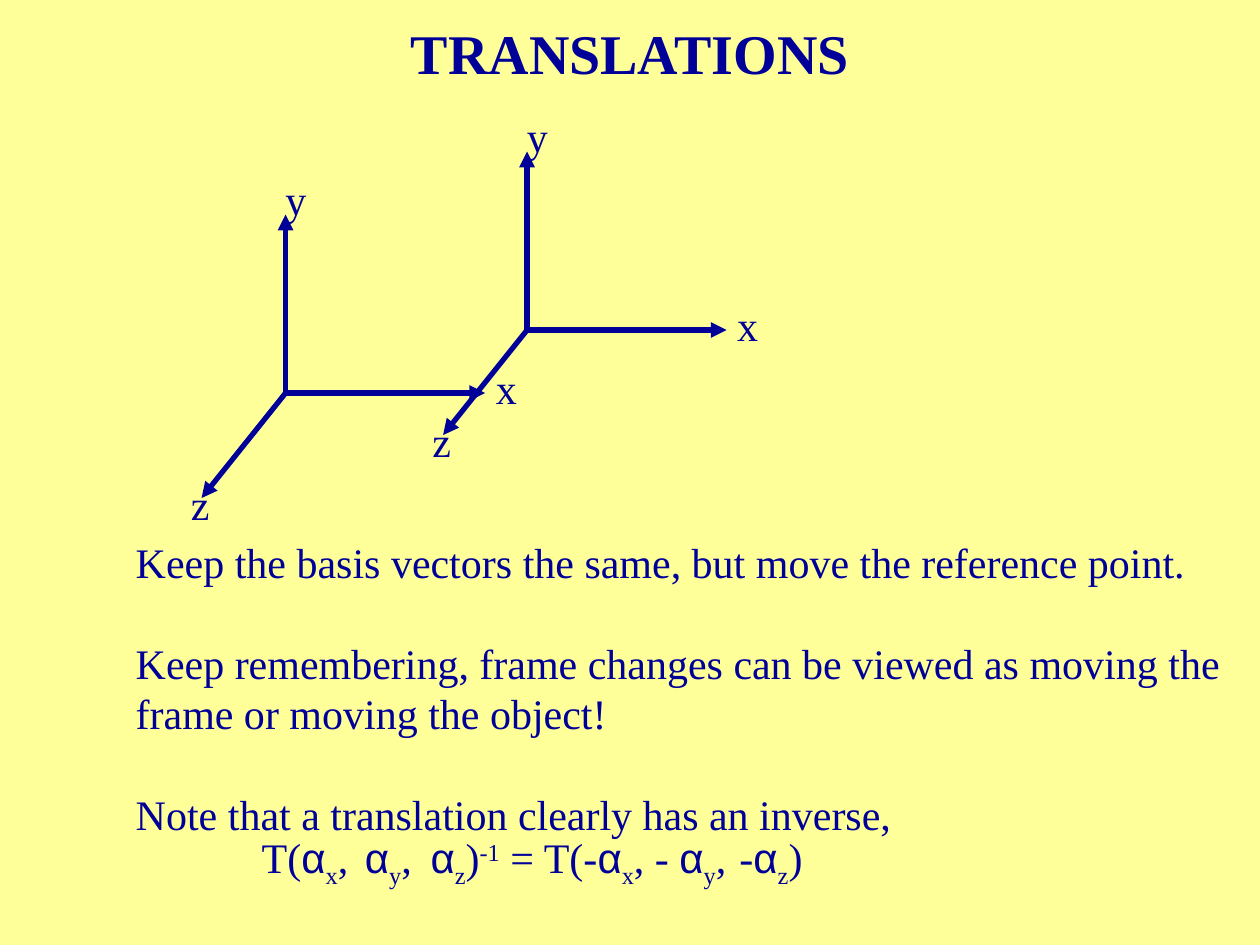
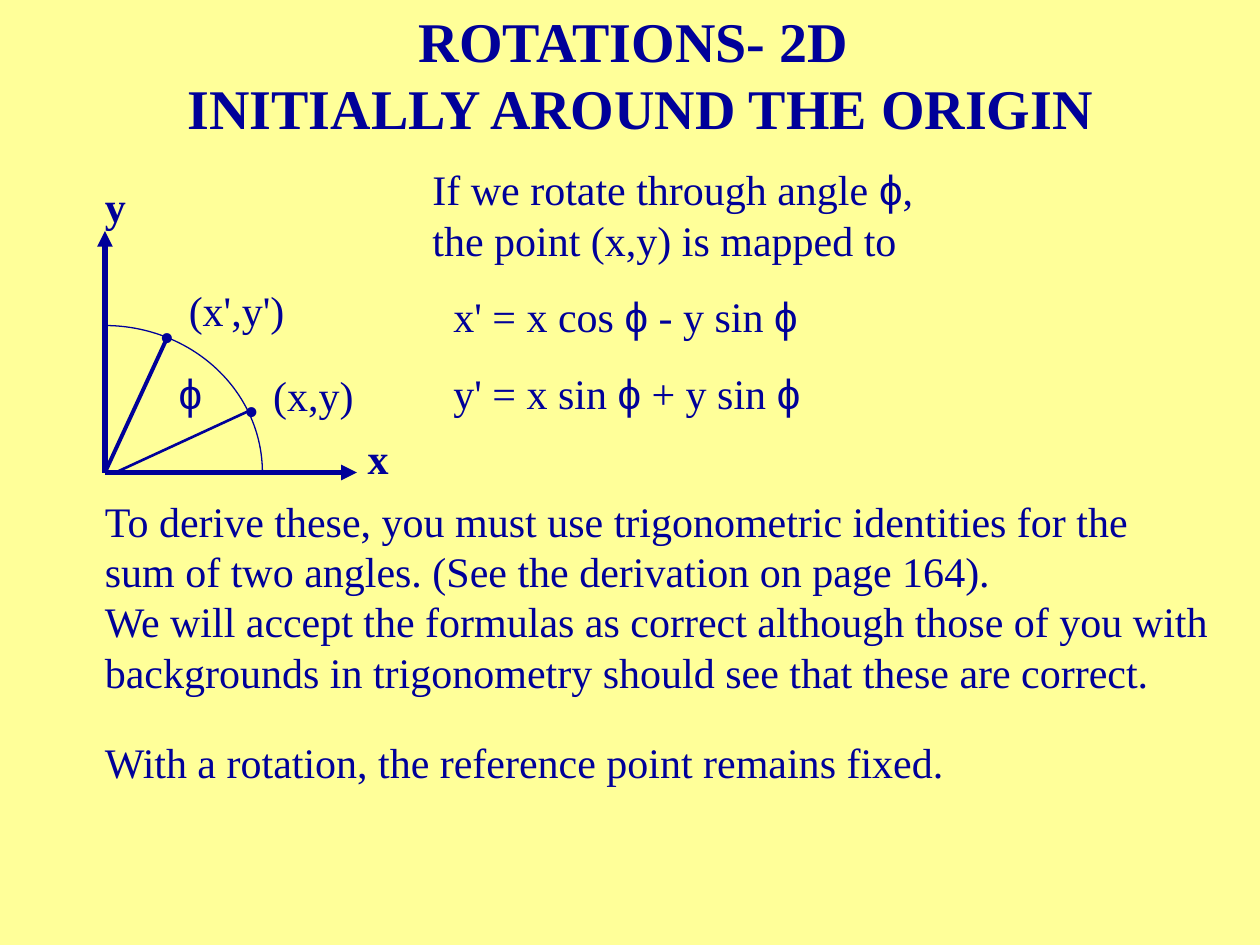
from lxml.etree import SubElement
from pptx import Presentation
from pptx.dml.color import RGBColor
from pptx.enum.shapes import MSO_CONNECTOR, MSO_SHAPE
from pptx.enum.text import MSO_ANCHOR, PP_ALIGN
from pptx.oxml.ns import qn
from pptx.util import Pt

hue = RGBColor.from_string
INK = "000099"
PAPER = "FFFF99"
SERIF = "Times New Roman"
SANS = "Arial"
GREEK = ("α", "ϕ")
BASE = {"_": "-25000", "^": "30000"}
LEAD = 1.2  # line height per point of type


def write(slide, box, paras, size=24, bold=False, gaps=(), tabs=(), wrap=False, title=False):
    """Add a text box; a run starting with _ is lowered, with ^ raised."""
    frame = slide.shapes.add_textbox(*map(Pt, box)).text_frame
    frame.word_wrap = wrap
    if title:
        frame.vertical_anchor = MSO_ANCHOR.MIDDLE
    for row, runs in enumerate(paras):
        para = frame.add_paragraph() if row else frame.paragraphs[0]
        if tabs:
            stops = SubElement(para._p.get_or_add_pPr(), qn("a:tabLst"))
            for stop in tabs:
                SubElement(stops, qn("a:tab"), pos=str(Pt(stop)), algn="l")
        para.alignment = PP_ALIGN.CENTER if title else PP_ALIGN.LEFT
        para.line_spacing = Pt(size * LEAD)
        if row and gaps:
            para.space_before = Pt(gaps[row])
        for text in runs:
            run = para.add_run()
            shift = BASE.get(text[0])
            run.text = text[1:] if shift else text
            font = run.font
            font.name = SANS if text in GREEK else SERIF
            font.size, font.bold = Pt(size), bold
            font.color.rgb = hue(INK)
            if shift:
                run._r.get_or_add_rPr().set("baseline", shift)


def draw(slide, start, end, width=3, arrow=True):
    """Add a straight line, by default an arrow."""
    line = slide.shapes.add_connector(
        MSO_CONNECTOR.STRAIGHT, *map(Pt, (*start, *end)))
    line.line.color.rgb = hue(INK)
    line.line.width = Pt(width)
    if arrow:
        SubElement(line.line._get_or_add_ln(), qn("a:tailEnd"), type="triangle")
    SubElement(line._element.spPr, qn("a:effectLst"))


deck = Presentation()
deck.slide_width, deck.slide_height = Pt(720), Pt(540)
back = deck.slide_master.background.fill
back.solid()
back.fore_color.rgb = hue(PAPER)
blank = deck.slide_layouts[6]

# Translations
slide = deck.slides.add_slide(blank)
write(slide, (54, 12, 612, 36), [["TRANSLATIONS"]], 32, True, wrap=True, title=True)

# Axis name, arrow tip and label corner, measured from the frame's origin
axes = [
    ("y", (0, -102), (-7.2, -128.8)),
    ("x", (114, 0), (113, -21)),
    ("z", (-48, 60), (-61.2, 45.4)),
]
for left, top in [(163.2, 224.6), (301.2, 188.6)]:
    for name, tip, spot in axes:
        draw(slide, (left, top), (left + tip[0], top + tip[1]))
        write(slide, (left + spot[0], top + spot[1], 26, 36), [[name]])

write(slide, (70.5, 303, 640, 300), [
    ["Keep the basis vectors the same, but move the reference point."],
    ["Keep remembering, frame changes can be viewed as moving the"],
    ["frame or moving the object!"],
    ["Note that a translation clearly has an inverse,"],
    ["\tT(", "α", "_x", ",\t", "α", "_y", ",\t", "α", "_z", ")", "^-1",
     " = T(-", "α", "_x", ", - ", "α", "_y", ",\t-", "α", "_z", ")"],
], gaps=(0, 28.8, 0, 28.8, 0), tabs=(72, 131, 168.5, 345))

# Rotations
slide = deck.slides.add_slide(blank)
write(slide, (60, 18, 612, 48),
      [["ROTATIONS- 2D "], ["INITIALLY AROUND THE ORIGIN"]],
      32, True, wrap=True, title=True)

zero = (60, 270)
draw(slide, zero, (60, 132))
draw(slide, zero, (204, 270))
arc = slide.shapes.add_shape(MSO_SHAPE.ARC, *map(Pt, (-30, 186, 180, 168)))
arc.shadow.inherit = False
arc.fill.background()
arc.line.color.rgb = hue(INK)
arc.line.width = Pt(0.75)
draw(slide, (66, 270), (144, 234), 1.5, False)
draw(slide, zero, (96, 192), 2.25, False)

for name, left, top, width, bold in [
    ("x", 203, 243.4, 26, True),
    ("y", 52.8, 99.4, 26, True),
    ("(x,y)", 149, 207.4, 60.5, False),
    ("ϕ", 95, 206.6, 28.8, False),
    ("•", 84.2, 174.2, 22.3, False),
    ("•", 132.4, 216, 22.3, False),
    ("(x',y')", 100.8, 159.1, 69, False),
]:
    write(slide, (left, top, width, 36), [[name]], bold=bold)

write(slide, (240, 90, 324, 152.6), [
    ["If we rotate through angle ", "ϕ", ", the point (x,y) is mapped to"],
    ["\tx' = x cos ", "ϕ", " - y sin ", "ϕ"],
    ["\ty' = x sin ", "ϕ", " + y sin ", "ϕ"],
], gaps=(0, 15, 15), tabs=(12,), wrap=True)

write(slide, (52.8, 279.4, 646.6, 122.4), [
    ["To derive these, you must use trigonometric identities for the"],
    ["sum of two angles. (See the derivation on page 164)."],
    ["We will accept the formulas as correct although those of you with"],
    ["backgrounds in trigonometry should see that these are correct."],
])
write(slide, (52.8, 417.4, 494.6, 36),
      [["With a rotation, the reference point remains fixed."]])

deck.save("out.pptx")
